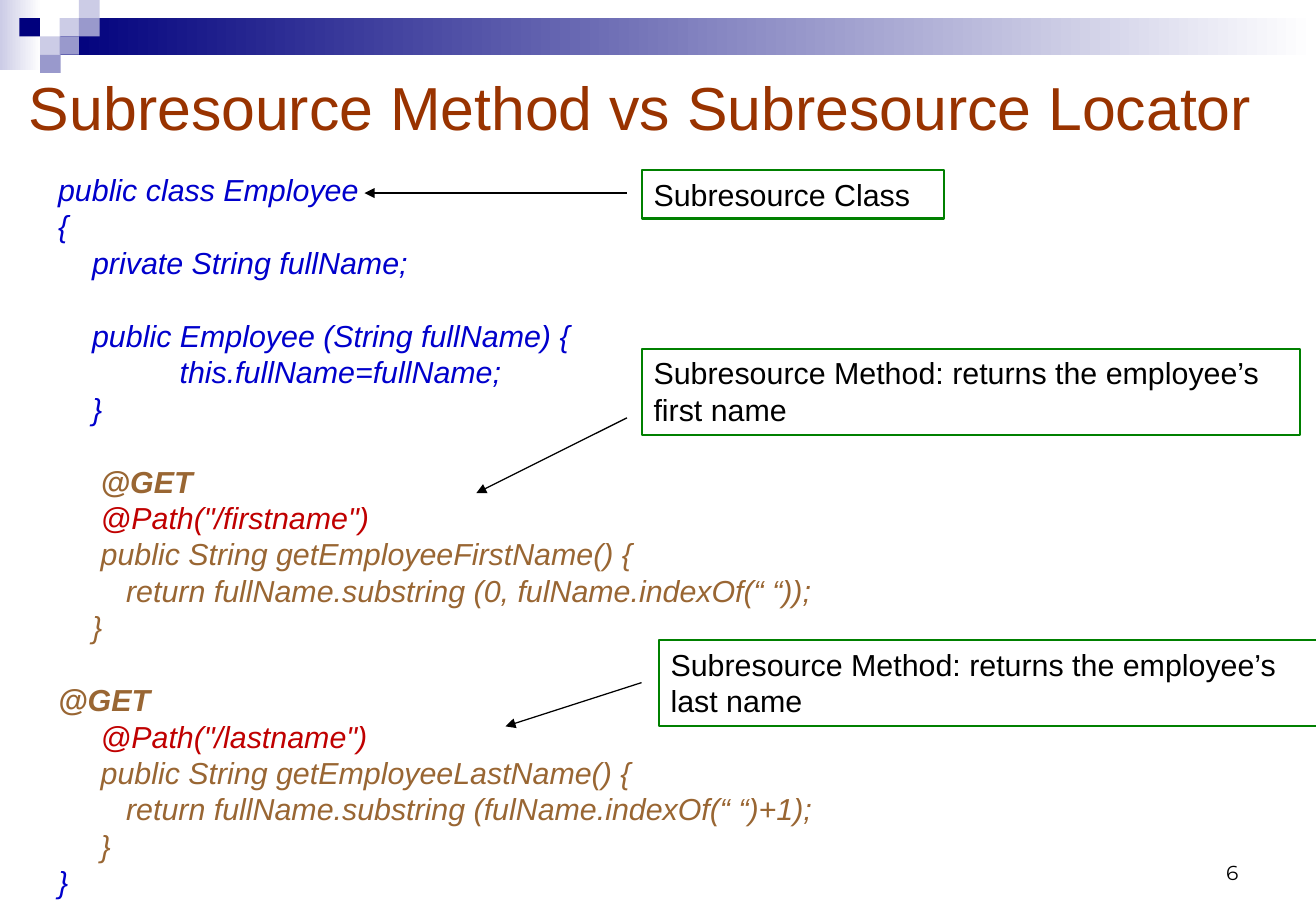
"""Build the slide that compares subresource methods with subresource locators."""
import lxml.etree
import pptx
import pptx.dml.color
import pptx.enum.dml
import pptx.enum.shapes
import pptx.enum.text
import pptx.oxml.ns
import pptx.util

Inches = pptx.util.Inches
Pt = pptx.util.Pt
RGB = pptx.dml.color.RGBColor.from_string
ANCHOR = pptx.enum.text.MSO_ANCHOR
ALIGN = pptx.enum.text.PP_ALIGN
RECTANGLE = pptx.enum.shapes.MSO_SHAPE.RECTANGLE
STRAIGHT = pptx.enum.shapes.MSO_CONNECTOR.STRAIGHT
qn = pptx.oxml.ns.qn

THEME = {
    "navy": RGB("00007D"), "lavender": RGB("CCCCE6"), "violet": RGB("9999CC"),
    "white": RGB("FFFFFF"), "black": RGB("000000"), "rust": RGB("993300"),
    "blue": RGB("0000CC"), "brown": RGB("996633"), "red": RGB("C00000"),
    "green": RGB("008000"),
    "title": Pt(36), "body": Pt(18), "small": Pt(12), "pitch": Pt(21.6),
}


def add_text(box, lines, size, font="Arial", anchor=ANCHOR.TOP, italic=False, align=ALIGN.LEFT):
    """Write (text, colour, indent, gap, bold) lines into a text box."""
    frame = box.text_frame
    for name, value in {"word_wrap": True, "vertical_anchor": anchor}.items():
        setattr(frame, name, value)
    for index, (text, color, indent, gap, bold) in enumerate(lines):
        paragraph = frame.add_paragraph() if index else frame.paragraphs[0]
        paragraph.alignment = align
        if size == THEME["body"]:
            paragraph.line_spacing = THEME["pitch"]
        if gap:
            paragraph.space_before = THEME["pitch"]
        if indent:
            paragraph._p.get_or_add_pPr().set("marL", str(Inches(indent)))
        run = paragraph.add_run()
        run.text = text
        run.font.color.rgb = THEME[color]
        for name, value in {"name": font, "size": size, "bold": bold, "italic": italic}.items():
            setattr(run.font, name, value)


deck = pptx.Presentation()
deck.slide_width, deck.slide_height = Inches(10.83), Inches(7.5)
slide = deck.slides.add_slide(deck.slide_layouts[6])
shapes = slide.shapes

for left, top, width, height, start, end in [
    (0, 0, 0.34, 0.58, "lavender", "white"),
    (0.49, 0.15, 10.34, 0.3, "navy", "white"),
    (0.49, 0.15, 0.16, 0.15, "lavender", None),
    (0.65, 0, 0.17, 0.15, "lavender", None),
    (0.65, 0.15, 0.17, 0.15, "violet", None),
    (0.33, 0.3, 0.17, 0.15, "lavender", None),
    (0.16, 0.15, 0.17, 0.15, "navy", None),
    (0.49, 0.3, 0.16, 0.15, "violet", None),
    (0.33, 0.45, 0.17, 0.15, "violet", None),
]:
    tile = shapes.add_shape(RECTANGLE, Inches(left), Inches(top), Inches(width), Inches(height))
    tile.shadow.inherit = False
    tile.line.fill.background()
    if end:
        tile.fill.gradient()
        tile.fill.gradient_angle = 0
        for stop, color in zip(tile.fill.gradient_stops, (start, end)):
            stop.color.rgb = THEME[color]
    else:
        tile.fill.solid()
        tile.fill.fore_color.rgb = THEME[start]

page_number = shapes.add_textbox(Inches(7.76), Inches(6.83), Inches(2.53), Inches(0.5))
add_text(page_number, [("6", "black", 0, False, False)], THEME["small"],
         font="Montserrat", anchor=ANCHOR.BOTTOM, align=ALIGN.RIGHT)

title = shapes.add_textbox(Inches(0.14), Inches(0.5), Inches(10.55), Inches(0.75))
add_text(title, [("Subresource Method vs Subresource Locator", "rust", 0, False, False)],
         THEME["title"], anchor=ANCHOR.MIDDLE)

employee_class = shapes.add_textbox(Inches(0.38), Inches(1.36), Inches(9.06), Inches(6.09))
add_text(employee_class, [
    ("public class Employee", "blue", 0, False, False),
    ("{", "blue", 0, False, False),
    ("private String fullName;", "blue", 0.28, False, False),
    ("public Employee (String fullName) {", "blue", 0.28, True, False),
    ("this.fullName=fullName;", "blue", 1, False, False),
    ("}", "blue", 0.28, False, False),
    ("@GET", "brown", 0.35, True, True),
    ("@Path(\"/firstname\")", "red", 0.35, False, False),
    ("public String getEmployeeFirstName() {", "brown", 0.35, False, False),
    ("return fullName.substring (0, fulName.indexOf(“ “));", "brown", 0.56, False, False),
    ("}", "brown", 0.28, False, False),
    ("@GET", "brown", 0, True, True),
    ("@Path(\"/lastname\")", "red", 0.35, False, False),
    ("public String getEmployeeLastName() {", "brown", 0.35, False, False),
    ("return fullName.substring (fulName.indexOf(“ “)+1);", "brown", 0.56, False, False),
    ("}", "brown", 0.35, False, False),
    ("}", "blue", 0, False, False),
], THEME["body"], italic=True)

for text, left, top, width, height, arrow in [
    ("Subresource Class", 5.28, 1.4, 2.49, 0.4, (5.16, 1.59, 3, 1.59)),
    ("Subresource Method: returns the employee’s first name",
     5.28, 2.87, 5.42, 0.71, (5.16, 3.44, 3.92, 4.06)),
    ("Subresource Method: returns the employee’s last name",
     5.42, 5.27, 5.42, 0.71, (5.28, 5.62, 4.16, 5.98)),
]:
    callout = shapes.add_textbox(Inches(left), Inches(top), Inches(width), Inches(height))
    callout.line.color.rgb = THEME["green"]
    callout.line.width = Pt(1.25)
    add_text(callout, [(text, "black", 0, False, False)], THEME["body"])

    pointer = shapes.add_connector(STRAIGHT, *[Inches(value) for value in arrow])
    pointer.line.color.rgb = THEME["black"]
    pointer.line.width = Pt(0.75)
    properties = pointer._element.spPr
    lxml.etree.SubElement(properties.find(qn("a:ln")), qn("a:tailEnd"), type="triangle")
    lxml.etree.SubElement(properties, qn("a:effectLst"))

deck.save("out.pptx")
